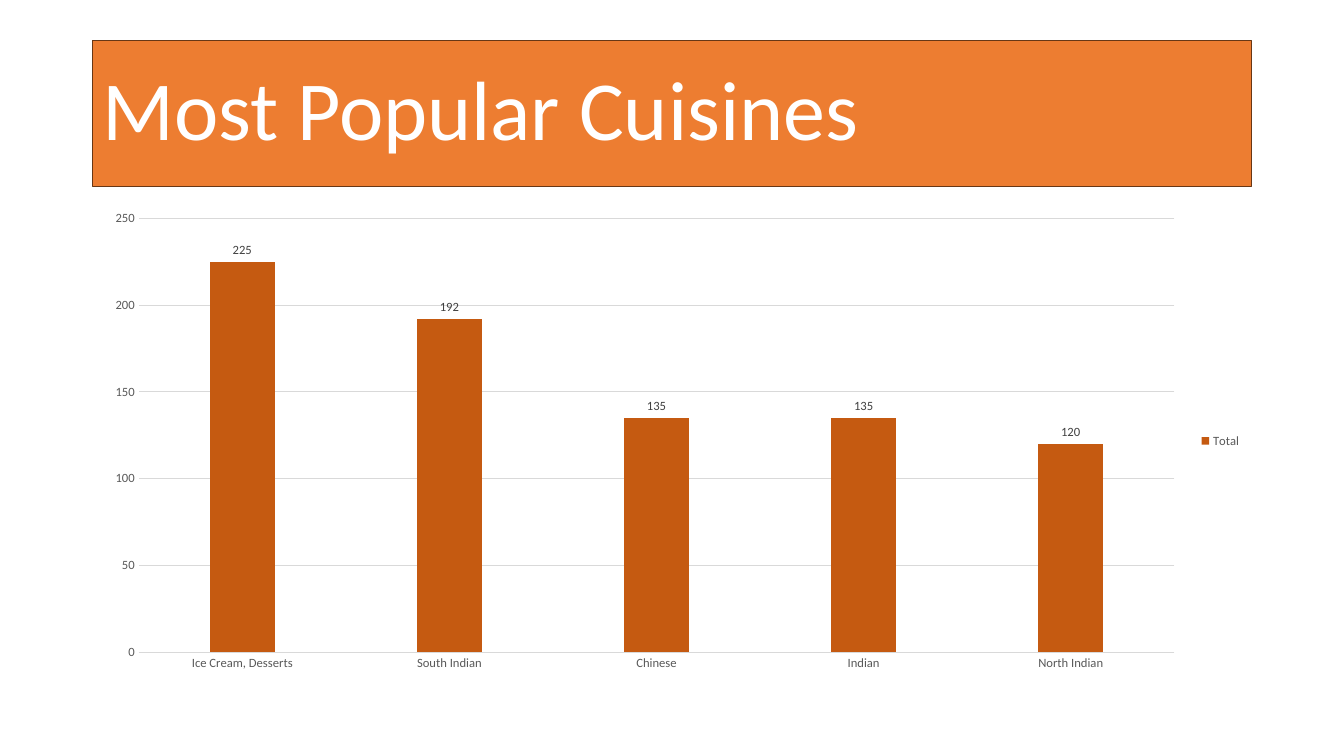
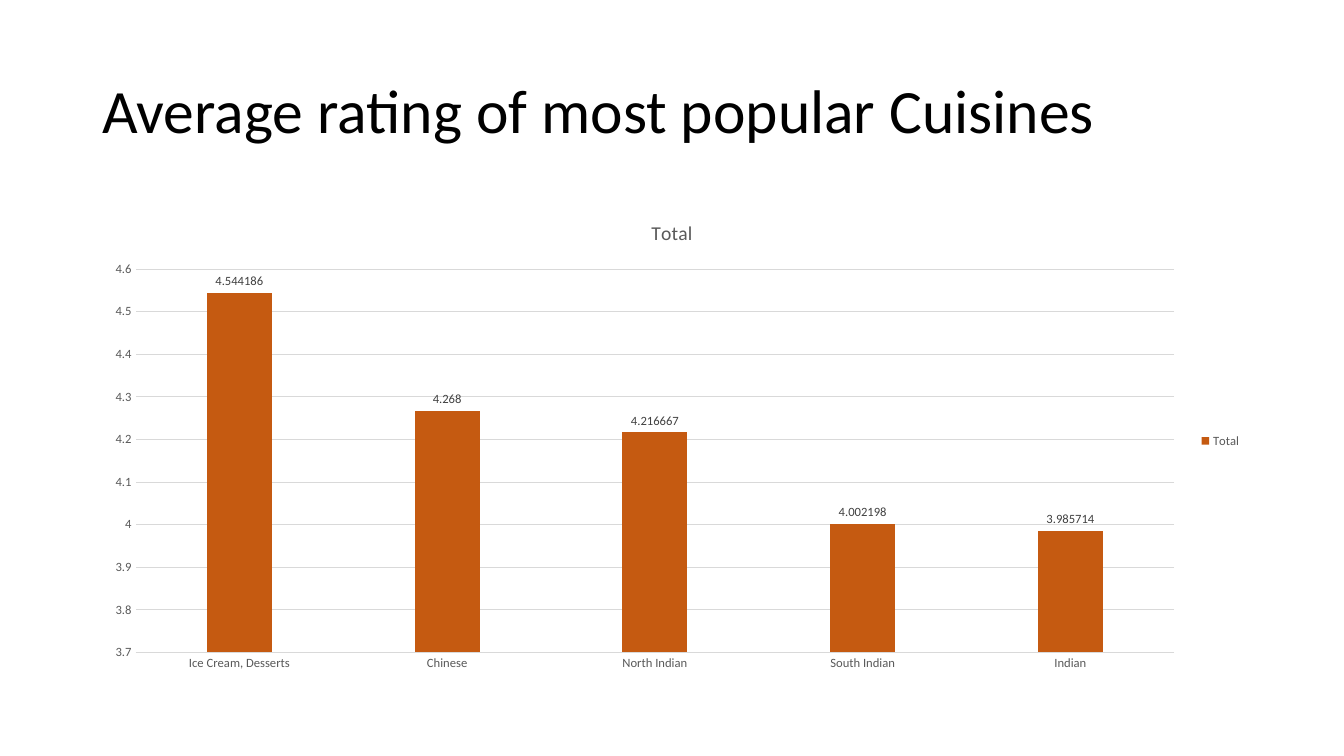
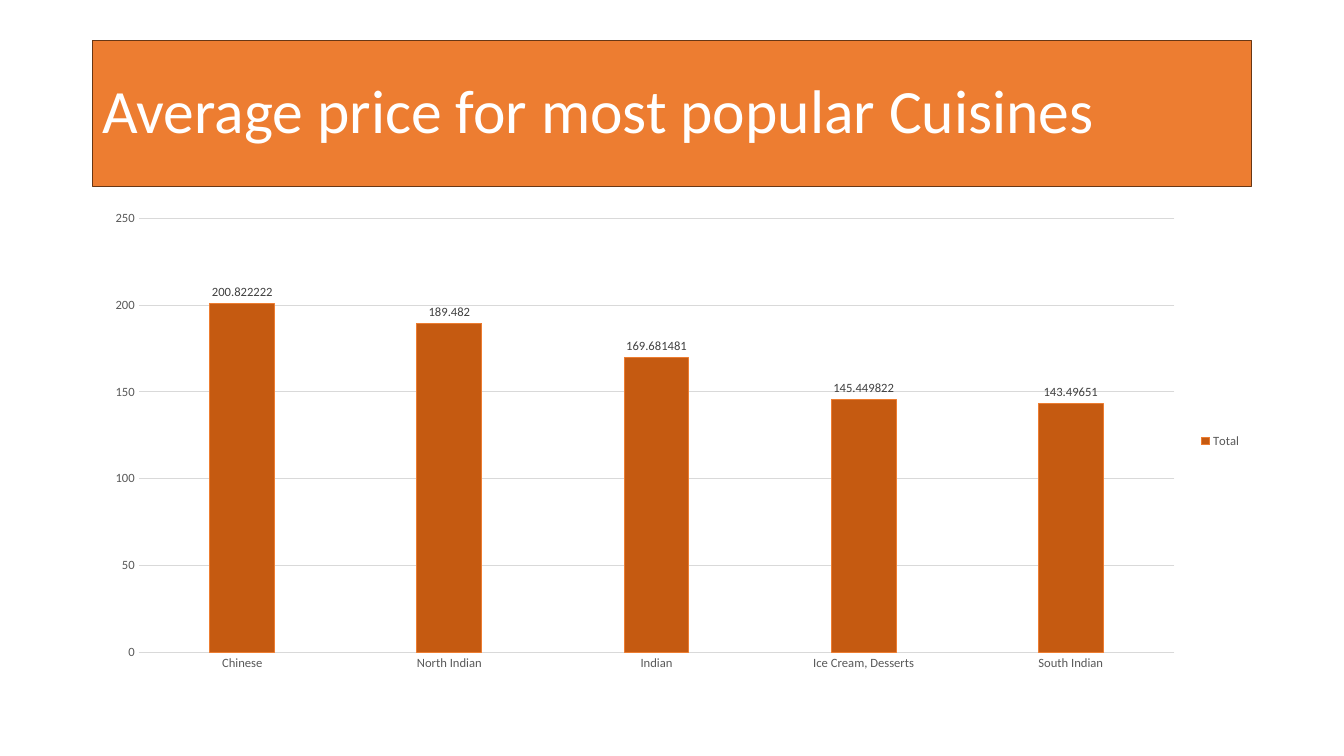
from pptx import Presentation
from pptx.chart import data
from pptx.dml.color import RGBColor
from pptx.enum import chart as charts, shapes, text
from pptx.util import Pt

FONT = "Calibri"
ORANGE = RGBColor(0xED, 0x7D, 0x31)
BROWN = RGBColor(0x68, 0x37, 0x15)
RUST = RGBColor(0xC5, 0x5A, 0x11)
WHITE = RGBColor(0xFF, 0xFF, 0xFF)
BLACK = RGBColor(0, 0, 0)
DARK_GREY = RGBColor(0x40, 0x40, 0x40)
GREY = RGBColor(0x59, 0x59, 0x59)
LIGHT_GREY = RGBColor(0xD9, 0xD9, 0xD9)

LEFT, WIDTH = Pt(66), Pt(828)
TITLE_TOP, TITLE_HEIGHT = Pt(28.8), Pt(104.4)
CHART_TOP, CHART_HEIGHT = Pt(143.75), Pt(342.5)


class Deck:
    """Shared style and the slide being built."""

    def __init__(self):
        self.prs = Presentation()
        self.prs.slide_width, self.prs.slide_height = Pt(960), Pt(540)
        self.slide = None

    def new_slide(self):
        self.slide = self.prs.slides.add_slide(self.prs.slide_layouts[6])

    def style_font(self, font, size, color):
        font.name, font.size = FONT, Pt(size)
        font.color.rgb = color

    def style_line(self, line, color, width=0.75):
        line.color.rgb = color
        line.width = Pt(width)

    def title(self, wording, size=44, band=True):
        box = LEFT, TITLE_TOP, WIDTH, TITLE_HEIGHT
        if band:
            heading = self.slide.shapes.add_shape(shapes.MSO_SHAPE.RECTANGLE, *box)
            heading.shadow.inherit = False
            heading.fill.solid()
            heading.fill.fore_color.rgb = ORANGE
            self.style_line(heading.line, BROWN, 1)
        else:
            heading = self.slide.shapes.add_textbox(*box)
        frame = heading.text_frame
        frame.word_wrap = True
        frame.vertical_anchor = text.MSO_ANCHOR.MIDDLE
        frame.text = wording
        paragraph = frame.paragraphs[0]
        paragraph.alignment = text.PP_ALIGN.LEFT
        paragraph.line_spacing = 0.9
        self.style_font(paragraph.runs[0].font, size, WHITE if band else BLACK)

    def column_chart(self, totals, scale, heading=None, outline=None):
        # Data
        chart_data = data.CategoryChartData()
        chart_data.categories = list(totals)
        chart_data.add_series("Total", list(totals.values()))
        chart = self.slide.shapes.add_chart(
            charts.XL_CHART_TYPE.COLUMN_CLUSTERED,
            LEFT, CHART_TOP, WIDTH, CHART_HEIGHT, chart_data).chart
        self.style_font(chart.font, 10, BLACK)

        # Title and legend
        chart.has_title = heading is not None
        if heading:
            frame = chart.chart_title.text_frame
            frame.text = heading
            self.style_font(frame.paragraphs[0].runs[0].font, 14, GREY)
            frame.paragraphs[0].runs[0].font.bold = False
            chart.chart_title.include_in_layout = False
        chart.has_legend = True
        chart.legend.position = charts.XL_LEGEND_POSITION.RIGHT
        chart.legend.include_in_layout = False
        self.style_font(chart.legend.font, 9, GREY)

        # Axes
        for axis in (chart.category_axis, chart.value_axis):
            axis.major_tick_mark = axis.minor_tick_mark = charts.XL_TICK_MARK.NONE
            self.style_font(axis.tick_labels.font, 9, GREY)
        self.style_line(chart.category_axis.format.line, LIGHT_GREY)
        values = chart.value_axis
        values.format.line.fill.background()
        values.minimum_scale, values.maximum_scale, values.major_unit = scale
        values.tick_labels.number_format = "General"
        values.tick_labels.number_format_is_linked = False
        values.has_major_gridlines = True
        self.style_line(values.major_gridlines.format.line, LIGHT_GREY)

        # Columns and their labels
        plot = chart.plots[0]
        plot.vary_by_categories = False
        plot.gap_width, plot.overlap = 219, -27
        columns = plot.series[0]
        columns.invert_if_negative = False
        columns.format.fill.solid()
        columns.format.fill.fore_color.rgb = RUST
        if outline is not None:
            self.style_line(columns.format.line, outline)
        labels = columns.data_labels
        labels.show_value = True
        labels.position = charts.XL_LABEL_POSITION.OUTSIDE_END
        labels.number_format = "General"
        labels.number_format_is_linked = False
        self.style_font(labels.font, 9, DARK_GREY)


def main():
    deck = Deck()

    # Popularity
    deck.new_slide()
    deck.title("Most Popular Cuisines", size=60)
    deck.column_chart({"Ice Cream, Desserts": 225, "South Indian": 192,
                       "Chinese": 135, "Indian": 135, "North Indian": 120},
                      scale=(0, 250, 50))

    # Ratings
    deck.new_slide()
    deck.title("Average rating of most popular Cuisines", band=False)
    deck.column_chart({"Ice Cream, Desserts": 4.544186, "Chinese": 4.268,
                       "North Indian": 4.216667, "South Indian": 4.002198,
                       "Indian": 3.985714},
                      scale=(3.7, 4.6, 0.1), heading="Total")

    # Prices
    deck.new_slide()
    deck.title("Average price for most popular Cuisines")
    deck.column_chart({"Chinese": 200.822222, "North Indian": 189.482,
                       "Indian": 169.681481, "Ice Cream, Desserts": 145.449822,
                       "South Indian": 143.49651},
                      scale=(0, 250, 50), outline=ORANGE)

    deck.prs.save("out.pptx")


if __name__ == "__main__":
    main()
